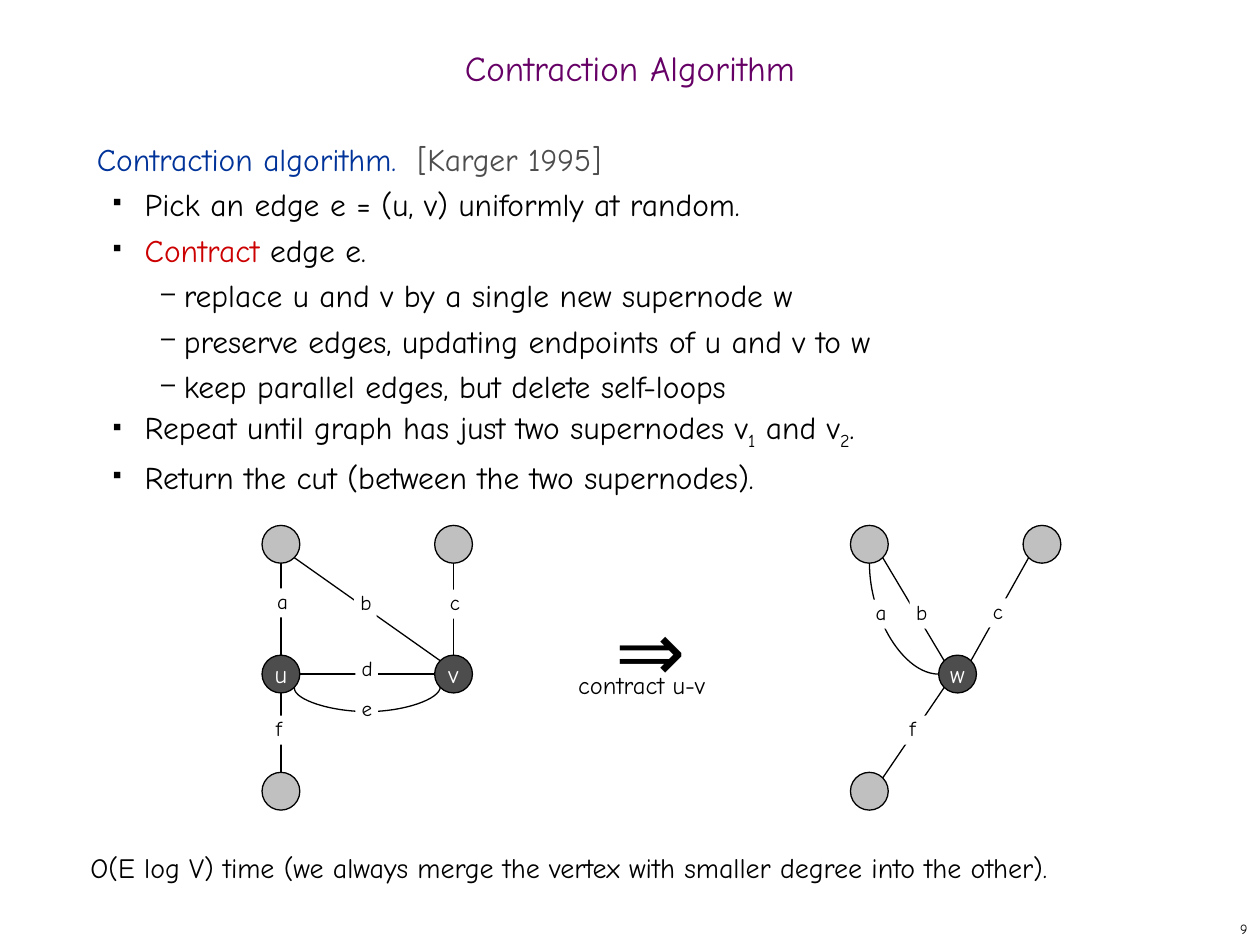
from math import hypot

from lxml import etree
from pptx import Presentation
from pptx.dml.color import RGBColor
from pptx.enum.shapes import MSO_CONNECTOR, MSO_SHAPE
from pptx.enum.text import MSO_ANCHOR, PP_ALIGN
from pptx.oxml.ns import qn
from pptx.util import Inches, Pt

STRAIGHT, CURVE = MSO_CONNECTOR.STRAIGHT, MSO_CONNECTOR.CURVE
OVAL, RECTANGLE = MSO_SHAPE.OVAL, MSO_SHAPE.RECTANGLE
LEFT, CENTER, RIGHT = PP_ALIGN.LEFT, PP_ALIGN.CENTER, PP_ALIGN.RIGHT
TOP, MIDDLE = MSO_ANCHOR.TOP, MSO_ANCHOR.MIDDLE

FONT = "Comic Neue"
BLACK, WHITE, DARK, LIGHT = "000000", "FFFFFF", "4D4D4D", "C0C0C0"
PURPLE, BLUE, RED = "660066", "003399", "CC0000"
RADIUS = 0.15
ROWS = (4.32, 5.35, 6.28)
BEFORE_COLUMNS = (2.23, 3.6)
AFTER_COLUMNS = (6.9, 7.6, 8.27)

# Level: bullet sign, its size in percent, left margin, first-line indent
BULLETS = {1: ("■", 35, 0.38, -0.25), 2: ("–", 80, 0.69, -0.18)}
# Level, then runs of text, colour and subscript
STEPS = [
    (0, [("Contraction algorithm.  ", BLUE, False), ("[Karger 1995]", DARK, False)]),
    (1, [("Pick an edge e = (u, v) uniformly at random.", BLACK, False)]),
    (1, [("Contract", RED, False), (" edge e.", BLACK, False)]),
    (2, [("replace u and v by a single new supernode w", BLACK, False)]),
    (2, [("preserve edges, updating endpoints of u and v to w", BLACK, False)]),
    (2, [("keep parallel edges, but delete self-loops", BLACK, False)]),
    (1, [("Repeat until graph has just two supernodes v", BLACK, False),
         ("1", BLACK, True), (" and v", BLACK, False),
         ("2", BLACK, True), (".", BLACK, False)]),
    (1, [("Return the cut (between the two supernodes).", BLACK, False)]),
]
# Letter, left, top
EDGE_LABELS = [
    ("a", 2.15, 4.67), ("b", 2.81, 4.68), ("c", 3.52, 4.68),
    ("d", 2.82, 5.2), ("e", 2.82, 5.52), ("f", 2.14, 5.68),
    ("a", 6.9, 4.76), ("b", 7.22, 4.76), ("c", 7.83, 4.75), ("f", 7.17, 5.68),
]


def color(hex_string):
    return RGBColor.from_string(hex_string)


def style_font(font, size, hex_string):
    font.name, font.size = FONT, Pt(size)
    font.color.rgb = color(hex_string)


def write(shape, text, size, hex_string=BLACK, align=LEFT, anchor=TOP, wrap=False):
    frame = shape.text_frame
    frame.text, frame.word_wrap, frame.vertical_anchor = text, wrap, anchor
    para = frame.paragraphs[0]
    para.alignment = align
    style_font(para.runs[0].font, size, hex_string)
    return frame


def add_text(page, place, text, size, **options):
    box = page.shapes.add_textbox(*map(Inches, place))
    return write(box, text, size, **options)


def add_bullet(para, level):
    sign, percent, margin, indent = BULLETS[level]
    props = para._p.get_or_add_pPr()
    props.set("marL", str(Inches(margin)))
    props.set("indent", str(Inches(indent)))
    tint = etree.SubElement(props, qn("a:buClr"))
    etree.SubElement(tint, qn("a:srgbClr"), val=BLACK)
    etree.SubElement(props, qn("a:buSzPct"), val=str(percent * 1000))
    etree.SubElement(props, qn("a:buChar"), char=sign)


def add_steps(page):
    box = page.shapes.add_textbox(*map(Inches, (0.67, 1, 8.58, 5.92)))
    frame = box.text_frame
    frame.word_wrap = True
    for index, (level, spans) in enumerate(STEPS):
        para = frame.add_paragraph() if index else frame.paragraphs[0]
        para.level = level
        if level:
            add_bullet(para, level)
        para.line_spacing = Pt(26)
        for text, hex_string, subscript in spans:
            span = para.add_run()
            span.text = text
            style_font(span.font, 18, hex_string)
            if subscript:
                span._r.get_or_add_rPr().set("baseline", "-25000")


def add_solid(page, kind, place, fill):
    shape = page.shapes.add_shape(kind, *map(Inches, place))
    shape.shadow.inherit = False
    shape.fill.solid()
    shape.fill.fore_color.rgb = color(fill)
    return shape


def add_node(page, center, name=""):
    x, y = center
    place = (x - RADIUS, y - RADIUS, 2 * RADIUS, 2 * RADIUS)
    node = add_solid(page, OVAL, place, DARK if name else LIGHT)
    node.line.color.rgb = color(BLACK)
    node.line.width = Pt(0.75)
    if name:
        write(node, name, 14, WHITE, CENTER, MIDDLE)


def add_edge_label(page, letter, left, top):
    label = add_solid(page, RECTANGLE, (left, top, 0.18, 0.23), WHITE)
    label.line.fill.background()
    frame = write(label, letter, 12)
    frame.margin_left = frame.margin_right = Inches(0.05)
    frame.margin_top = frame.margin_bottom = 0


def rim(center, dx, dy):
    """Point on a node's outline in the given direction."""
    share = RADIUS / hypot(dx, dy)
    return center[0] + dx * share, center[1] + dy * share


def add_edge(page, start, end, kind=STRAIGHT):
    edge = page.shapes.add_connector(kind, *map(Inches, (*start, *end)))
    edge.line.color.rgb = color(BLACK)
    edge.line.width = Pt(0.75)
    etree.SubElement(edge._element.spPr, qn("a:effectLst"))
    return edge


def add_turned_curve(page, center, size, turn, preset, bend=None):
    """Curved edge whose frame is turned by a quarter; bend is in percent."""
    (x, y), (width, height) = center, size
    left, top = x - width / 2, y - height / 2
    edge = add_edge(page, (left, top), (left + width, top + height), CURVE)
    edge.rotation = turn if hasattr(edge, "rotation") else 0
    props = edge._element.spPr
    props.find(qn("a:xfrm")).set("rot", str(turn * 60000))
    shape = props.find(qn("a:prstGeom"))
    shape.set("prst", preset)
    if bend is not None:
        guides = shape.find(qn("a:avLst"))
        etree.SubElement(guides, qn("a:gd"), name="adj1", fmla=f"val {bend * 1000}")
    return edge


def add_graph_before(page):
    top_left, u, bottom = [(BEFORE_COLUMNS[0], y) for y in ROWS]
    top_right, v = [(BEFORE_COLUMNS[1], y) for y in ROWS[:2]]
    for center, name in ((top_left, ""), (top_right, ""), (bottom, ""), (u, "u"), (v, "v")):
        add_node(page, center, name)
    for upper, lower in ((top_left, u), (top_right, v), (u, bottom)):
        add_edge(page, rim(upper, 0, 1), rim(lower, 0, -1))
    add_edge(page, rim(u, 1, 0), rim(v, -1, 0))
    add_edge(page, rim(top_left, 1, 1), rim(v, -1, -1))
    (left, y), (right, _) = rim(u, 1, 1), rim(v, -1, 1)
    add_turned_curve(page, ((left + right) / 2, y), (0.01, right - left),
                     90, "curvedConnector3", 2000)


def add_graph_after(page):
    left, middle, right = AFTER_COLUMNS
    top_left, top_right, bottom = (left, ROWS[0]), (right, ROWS[0]), (left, ROWS[2])
    w = (middle, ROWS[1])
    for center, name in ((top_left, ""), (top_right, ""), (bottom, ""), (w, "w")):
        add_node(page, center, name)
    add_edge(page, rim(top_left, 1, 1), rim(w, -1, -1))
    add_edge(page, rim(top_right, -1, 1), rim(w, 1, -1))
    add_edge(page, rim(w, -1, 1), rim(bottom, 1, -1))
    (x1, y1), (x2, y2) = rim(top_left, 0, 1), rim(w, -1, 0)
    curve = add_turned_curve(page, ((x1 + x2) / 2, (y1 + y2) / 2),
                             (y2 - y1, x2 - x1), 270, "curvedConnector2")
    curve._element.spPr.find(qn("a:xfrm")).set("flipH", "1")


def main():
    deck = Presentation()
    deck.slide_width, deck.slide_height = Inches(10), Inches(7.5)
    page = deck.slides.add_slide(deck.slide_layouts[6])
    title = add_text(page, (0, 0.33, 10, 0.5), "Contraction Algorithm", 20,
                     hex_string=PURPLE, align=CENTER, anchor=MIDDLE, wrap=True)
    title.paragraphs[0].line_spacing = 0.7
    add_steps(page)
    add_graph_before(page)
    add_graph_after(page)
    add_text(page, (4.79, 4.69, 0.86, 0.9), "⇒", 48)
    add_text(page, (4.49, 5.27, 1.32, 0.37), "contract u-v", 14)
    for letter, left, top in EDGE_LABELS:
        add_edge_label(page, letter, left, top)
    add_text(page, (0.62, 6.7, 9.07, 0.37),
             "O(E log V) time (we always merge the vertex with smaller degree into the other).",
             16, wrap=True)
    add_text(page, (7.92, 7.25, 2.08, 0.25), "9", 8, align=RIGHT, anchor=MIDDLE)
    deck.save("out.pptx")


if __name__ == "__main__":
    main()
